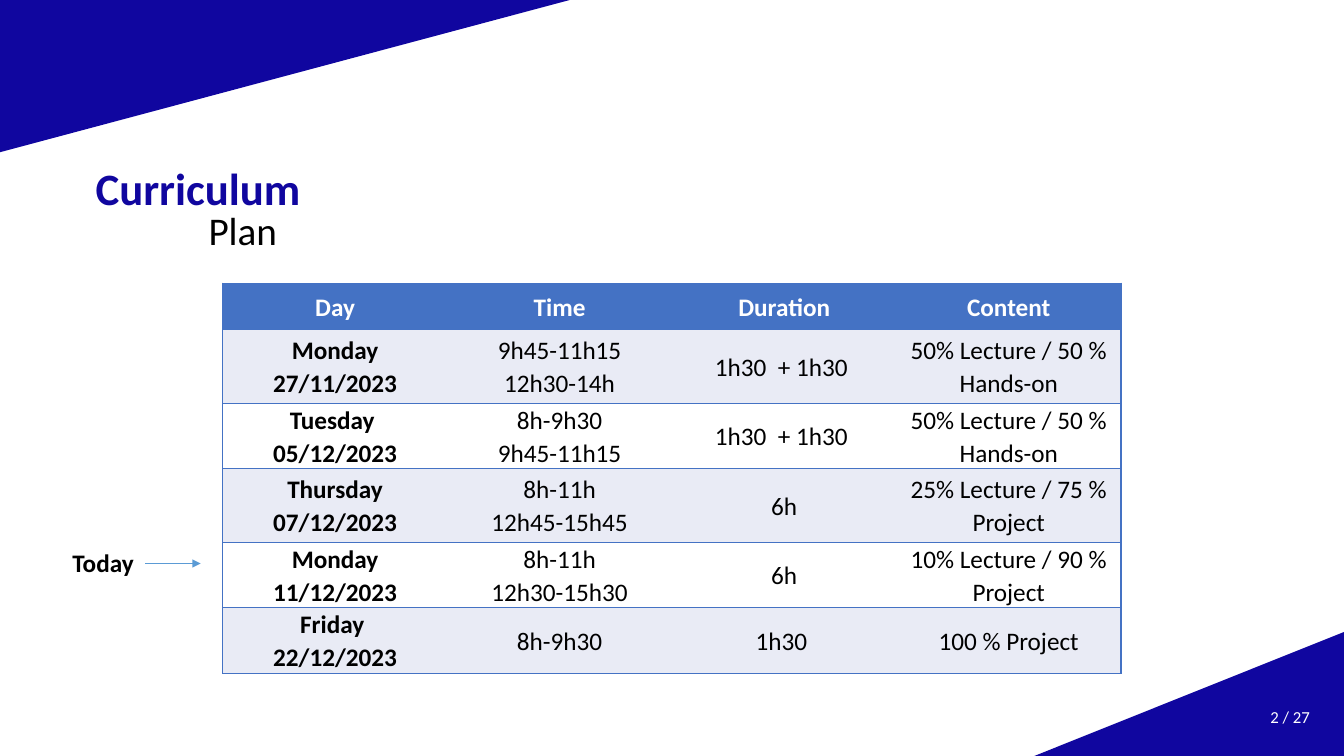
"""Build the curriculum plan slide with its timetable."""
from dataclasses import dataclass

from lxml.etree import SubElement
from pptx import Presentation
from pptx.dml.color import RGBColor
from pptx.enum.shapes import MSO_CONNECTOR, MSO_SHAPE
from pptx.enum.text import MSO_ANCHOR, PP_ALIGN
from pptx.oxml import parse_xml
from pptx.oxml.ns import nsdecls, qn
from pptx.util import Inches, Pt


@dataclass(frozen=True)
class Theme:
    font: str = "Calibri"
    navy: str = "10069F"
    header: str = "4472C4"
    band: str = "E9EBF5"
    arrow: str = "5B9BD5"
    white: str = "FFFFFF"
    black: str = "000000"
    title: int = 32
    subtitle: int = 28
    body: int = 18
    small: int = 12


theme = Theme()
WIDTH, HEIGHT = 13.33, 7.5


def write(frame, text, size=theme.body, color=theme.black, bold=False,
          align=PP_ALIGN.LEFT, anchor=MSO_ANCHOR.TOP, spacing=1.0, after=0):
    frame.word_wrap = True
    frame.vertical_anchor = anchor
    paragraph = frame.paragraphs[0]
    paragraph.text = text
    paragraph.alignment = align
    paragraph.line_spacing = spacing
    paragraph.space_after = Pt(after)
    for run in paragraph.runs:
        run.font.name = theme.font
        run.font.size = Pt(size)
        run.font.bold = bold
        run.font.color.rgb = RGBColor.from_string(color)


prs = Presentation()
prs.slide_width, prs.slide_height = Inches(WIDTH), Inches(HEIGHT)
slide = prs.slides.add_slide(prs.slide_layouts[6])

corners = [
    (0, 0, 5.65, 1.51, 180),
    (WIDTH - 3.07, HEIGHT - 1.23, 3.07, 1.23, 0),
]
for left, top, width, height, rotation in corners:
    corner = slide.shapes.add_shape(
        MSO_SHAPE.RIGHT_TRIANGLE, *map(Inches, (left, top, width, height)))
    corner.rotation = rotation
    corner._element.spPr.find(qn("a:xfrm")).set("flipH", "1")
    corner.shadow.inherit = False
    corner.fill.solid()
    corner.fill.fore_color.rgb = RGBColor.from_string(theme.navy)
    corner.line.fill.background()

labels = [
    ("Curriculum", (0.85, 1.67, 11.33, 0.45),
     dict(size=theme.title, color=theme.navy, bold=True,
          anchor=MSO_ANCHOR.MIDDLE, spacing=0.9)),
    ("Plan", (1.97, 2.05, 9.3, 0.38), dict(size=theme.subtitle, spacing=0.9)),
    ("Today", (0.62, 5.38, 0.95, 0.4), dict(bold=True)),
    ("2 / 27", (11.8, 6.91, 1.29, 0.4),
     dict(size=theme.small, color=theme.white, align=PP_ALIGN.RIGHT,
          anchor=MSO_ANCHOR.MIDDLE)),
]
for text, box, style in labels:
    label = slide.shapes.add_textbox(*map(Inches, box))
    write(label.text_frame, text, **style)

timetable = [
    ("Day", "Time", "Duration", "Content"),
    ("Monday 27/11/2023", "9h45-11h15\n12h30-14h", "1h30  + 1h30 ",
     "50% Lecture / 50 % Hands-on"),
    ("Tuesday \n05/12/2023", "8h-9h30\n9h45-11h15", "1h30  + 1h30 ",
     "50% Lecture / 50 % Hands-on"),
    ("Thursday 07/12/2023", "8h-11h\n12h45-15h45", "6h",
     "25% Lecture / 75 % Project"),
    ("Monday 11/12/2023", "8h-11h\n12h30-15h30", "6h",
     "10% Lecture / 90 % Project"),
    ("Friday \n22/12/2023", "8h-9h30", "1h30 ", "100 % Project"),
]
row_heights = [0.46, 0.73, 0.65, 0.73, 0.65, 0.65]
columns = len(timetable[0])
table = slide.shapes.add_table(
    len(timetable), columns, Inches(2.21), Inches(2.81),
    Inches(8.91), Inches(sum(row_heights))).table

for r, (height, entries) in enumerate(zip(row_heights, timetable)):
    table.rows[r].height = Inches(height)
    for c, entry in enumerate(entries):
        cell = table.cell(r, c)
        cell.margin_left = cell.margin_right = Inches(0.07)
        cell.margin_top = cell.margin_bottom = 0
        cell.vertical_anchor = MSO_ANCHOR.MIDDLE
        write(cell.text_frame, entry, bold=r == 0 or c == 0,
              color=theme.black if r else theme.white,
              align=PP_ALIGN.CENTER, anchor=None, spacing=1.07, after=8)
        fill = theme.header if r == 0 else theme.band if r % 2 else theme.white
        cell.fill.solid()
        cell.fill.fore_color.rgb = RGBColor.from_string(fill)
        edges = {"L": c == 0, "R": c == columns - 1, "T": True, "B": True}
        for position, (side, drawn) in enumerate(edges.items()):
            paint = (f'<a:solidFill><a:srgbClr val="{theme.header}"/></a:solidFill>'
                     if drawn else "<a:noFill/>")
            border = parse_xml(
                f'<a:ln{side} {nsdecls("a")} w="{Pt(1)}">{paint}</a:ln{side}>')
            cell._tc.get_or_add_tcPr().insert(position, border)

today_arrow = slide.shapes.add_connector(
    MSO_CONNECTOR.STRAIGHT, *map(Inches, (1.44, 5.59, 1.99, 5.59)))
today_arrow.line.color.rgb = RGBColor.from_string(theme.arrow)
today_arrow.line.width = Pt(0.5)
SubElement(today_arrow.line._get_or_add_ln(), qn("a:tailEnd"), type="triangle")
SubElement(today_arrow._element.spPr, qn("a:effectLst"))

prs.save("out.pptx")
